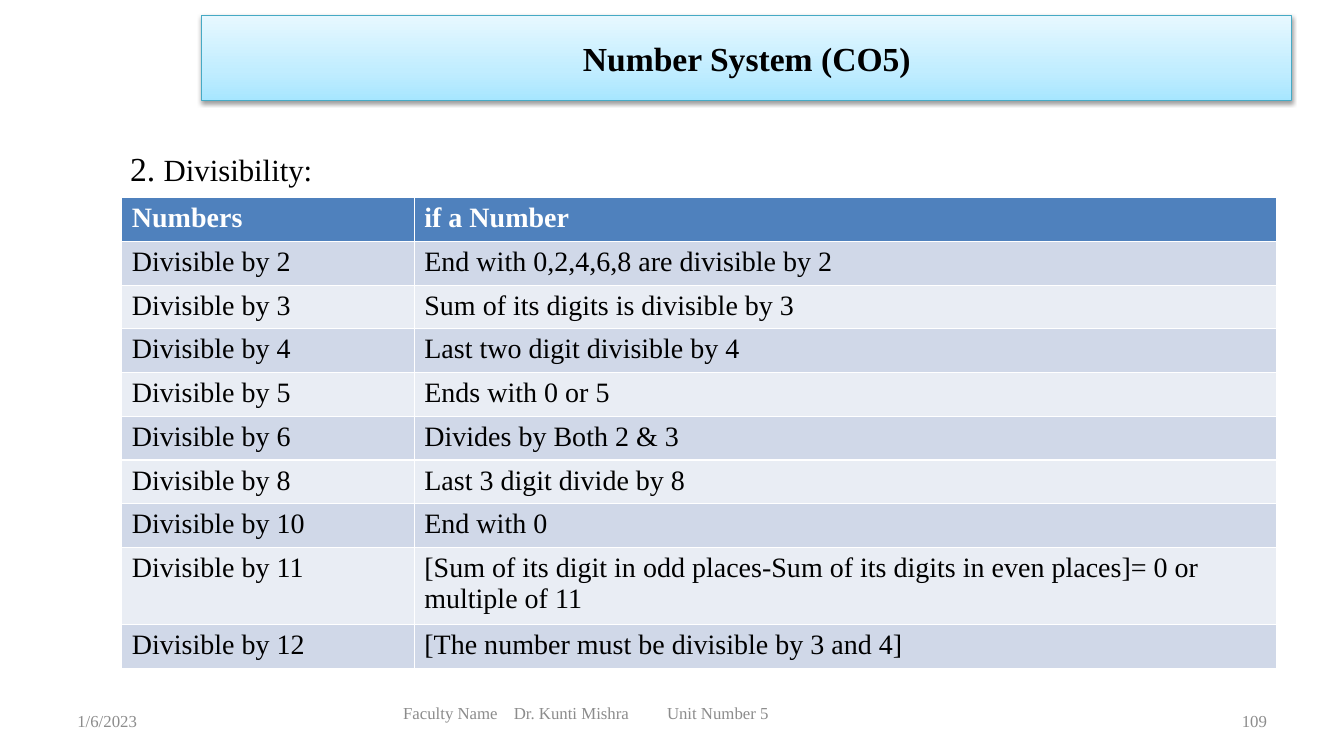
from copy import deepcopy
from dataclasses import dataclass

from lxml import etree
from pptx import Presentation
from pptx.dml.color import RGBColor
from pptx.enum.shapes import MSO_SHAPE
from pptx.enum.text import MSO_ANCHOR, PP_ALIGN
from pptx.oxml.ns import qn
from pptx.util import Cm, Pt

RECT = MSO_SHAPE.RECTANGLE
TOP, MIDDLE = MSO_ANCHOR.TOP, MSO_ANCHOR.MIDDLE
LEFT, CENTER, RIGHT = PP_ALIGN.LEFT, PP_ALIGN.CENTER, PP_ALIGN.RIGHT
FONT = "Times New Roman"
BLACK, WHITE, GREY = "000000", "FFFFFF", "8C8C8C"
HEADER_FILL = "4F81BD"
BAND_FILLS = ("D0D8E8", "E9EDF4")
TITLE_STOPS = ((0, "A7E6FF"), (0.35, "C1EDFF"), (1, "E7F8FF"))
COL_WIDTHS = (7.37, 21.74)
ROW_HEIGHT = 1.04
ROWS = (
    ("Numbers", "if a Number"),
    ("Divisible by 2", "End with 0,2,4,6,8 are divisible by 2"),
    ("Divisible by 3", "Sum of its digits is divisible by 3"),
    ("Divisible by 4", "Last two digit divisible by 4"),
    ("Divisible by 5", "Ends with 0 or 5"),
    ("Divisible by 6", "Divides by Both 2 & 3"),
    ("Divisible by 8", "Last 3 digit divide by 8"),
    ("Divisible by 10", "End with 0"),
    ("Divisible by 11", "[Sum of its digit in odd places-Sum of its digits "
                        "in even places]= 0 or multiple of 11"),
    ("Divisible by 12", "[The number must be divisible by 3 and 4]"),
)


@dataclass
class Footer:
    text: str
    left: float
    width: float
    height: float
    align: PP_ALIGN = LEFT
    inset: float = 0.25
    tabs: tuple[float, ...] = ()


FOOTERS = (
    Footer("1/6/2023", 1.7, 7.9, 1.02),
    Footer("Faculty Name\tDr. Kunti Mishra\tUnit Number 5", 7.24, 15.04, 0.61,
           inset=2.92, tabs=(2.79, 6.65)),
    Footer("109", 24.28, 7.9, 1.02, align=RIGHT),
)


def rgb(value: str) -> RGBColor:
    return RGBColor.from_string(value)


def style_run(r, size: float, color: str, bold: bool = False) -> None:
    r.font.name = FONT
    r.font.size = Pt(size)
    r.font.bold = bold
    r.font.color.rgb = rgb(color)


def write(tf, text: str, size: float, color: str, bold: bool = False,
          align: PP_ALIGN = LEFT, anchor: MSO_ANCHOR = MIDDLE) -> None:
    tf.word_wrap = True
    tf.vertical_anchor = anchor
    p = tf.paragraphs[0]
    p.text = text
    p.alignment = align
    for r in p.runs:
        style_run(r, size, color, bold)


def add_title(shapes) -> None:
    sp = shapes.add_shape(RECT, Cm(5.08), Cm(0.38), Cm(27.48), Cm(2.16))
    sp.fill.gradient()
    sp.fill.gradient_angle = 90
    sp_pr = sp._element.spPr
    stops = sp_pr.find(qn("a:gradFill")).find(qn("a:gsLst"))
    stops.append(deepcopy(stops[0]))
    for stop, (position, color) in zip(sp.fill.gradient_stops, TITLE_STOPS):
        stop.position = position
        stop.color.rgb = rgb(color)
    sp.line.color.rgb = rgb("46AAC5")
    sp.line.width = Pt(0.75)
    sp.shadow.inherit = False
    shadow = etree.SubElement(
        sp_pr.find(qn("a:effectLst")), qn("a:outerShdw"),
        blurRad=str(Pt(3.1)), dist=str(Pt(1.6)), dir="5400000", rotWithShape="0")
    color = etree.SubElement(shadow, qn("a:srgbClr"), val=BLACK)
    etree.SubElement(color, qn("a:alpha"), val="38000")
    write(sp.text_frame, "Number System (CO5)", 24, BLACK, True, CENTER)


def add_body(shapes) -> None:
    sp = shapes.add_shape(RECT, Cm(2.82), Cm(3.51), Cm(29.74), Cm(13.18))
    sp.fill.solid()
    sp.fill.fore_color.rgb = rgb(WHITE)
    sp.line.fill.background()
    sp.shadow.inherit = False
    tf = sp.text_frame
    tf.margin_left = Cm(0.46)
    tf.margin_top = Cm(0.23)
    write(tf, "2. ", 24, BLACK, anchor=TOP)
    r = tf.paragraphs[0].add_run()
    r.text = "Divisibility:"
    style_run(r, 22, BLACK)


def add_footer(shapes, footer: Footer) -> None:
    sp = shapes.add_textbox(Cm(footer.left), Cm(17.65),
                            Cm(footer.width), Cm(footer.height))
    tf = sp.text_frame
    tf.margin_left = Cm(footer.inset)
    write(tf, footer.text, 12, GREY, align=footer.align)
    if footer.tabs:
        p_pr = tf.paragraphs[0]._p.get_or_add_pPr()
        tab_list = etree.SubElement(p_pr, qn("a:tabLst"))
        for position in footer.tabs:
            etree.SubElement(tab_list, qn("a:tab"), pos=str(Cm(position)), algn="l")


def add_rules_table(shapes) -> None:
    table = shapes.add_table(
        len(ROWS), len(COL_WIDTHS), Cm(3.07), Cm(4.98),
        Cm(sum(COL_WIDTHS)), Cm(ROW_HEIGHT * len(ROWS))).table
    for column, width in zip(table.columns, COL_WIDTHS):
        column.width = Cm(width)
    for i, texts in enumerate(ROWS):
        table.rows[i].height = Cm(ROW_HEIGHT)
        header = i == 0
        for j, text in enumerate(texts):
            cell = table.cell(i, j)
            cell.fill.solid()
            cell.fill.fore_color.rgb = rgb(
                HEADER_FILL if header else BAND_FILLS[(i - 1) % 2])
            write(cell.text_frame, text, 20, WHITE if header else BLACK, header,
                  anchor=TOP)


def main() -> None:
    prs = Presentation()
    prs.slide_width = Cm(33.87)
    prs.slide_height = Cm(19.05)
    s = prs.slides.add_slide(prs.slide_layouts[6])
    add_title(s.shapes)
    add_body(s.shapes)
    for footer in FOOTERS:
        add_footer(s.shapes, footer)
    add_rules_table(s.shapes)
    prs.save("out.pptx")


if __name__ == "__main__":
    main()
